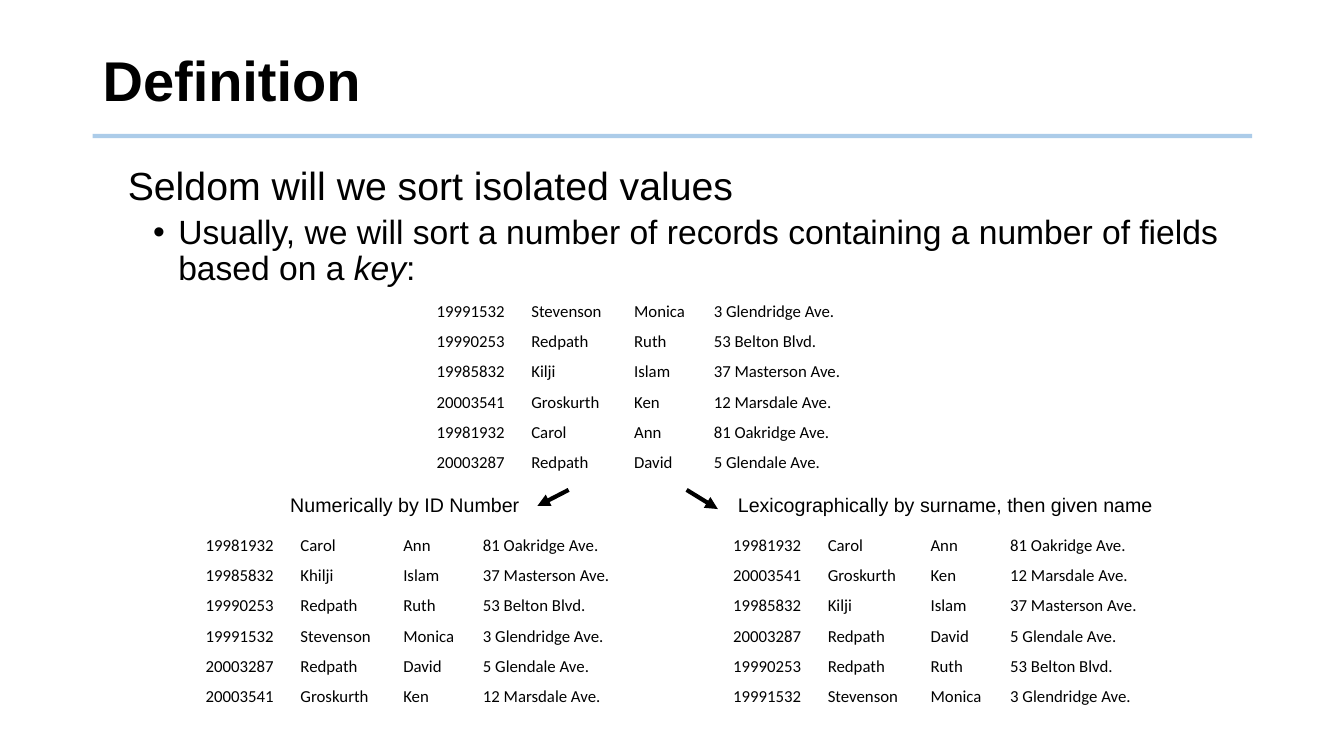
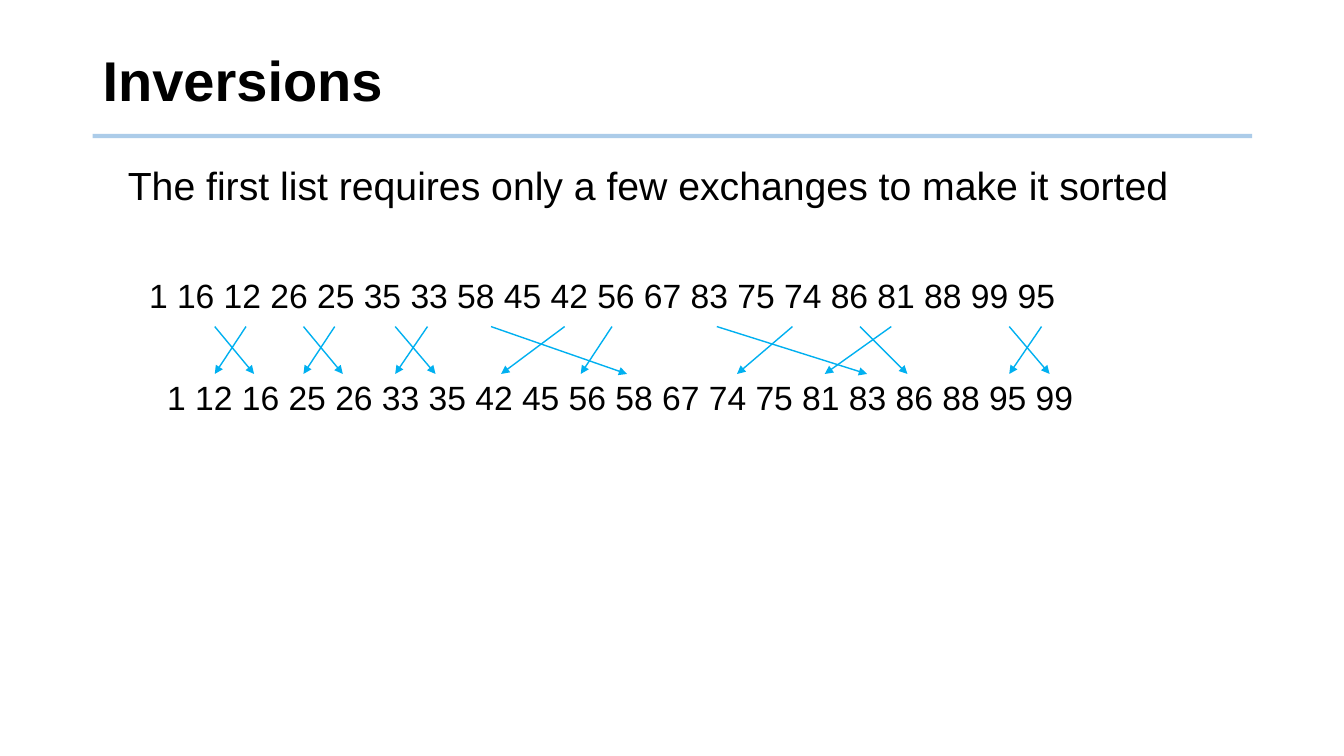
from lxml.etree import SubElement as Sub
from pptx import Presentation
from pptx.dml.color import RGBColor
from pptx.enum.shapes import MSO_CONNECTOR as Conn
from pptx.enum.text import MSO_ANCHOR as Anchor
from pptx.oxml.ns import qn
from pptx.util import Inches, Pt

BLACK, RULE, CYAN = "000000", "5B9BD5", "00B0F0"
LEFT, WIDTH = 0.92, 11.5


def rgb(value):
    return RGBColor.from_string(value)


class Deck:
    """Holds the shared style and the slide being built."""

    def __init__(self):
        self.prs = Presentation()
        self.prs.slide_width, self.prs.slide_height = Inches(13.33), Inches(7.5)
        self.s = None

    def slide(self, title):
        self.s = self.prs.slides.add_slide(self.prs.slide_layouts[6])
        ln = self.line((LEFT, 1.35), (LEFT + WIDTH, 1.35), RULE, 3)
        color = ln.find(qn("a:solidFill"))[0]
        Sub(color, qn("a:alpha"), val="50000")
        tf = self.box(LEFT, 0.28, WIDTH, 1.1)
        tf.vertical_anchor = Anchor.MIDDLE
        p = self.text(tf.paragraphs[0], [title], 40)
        p.font.bold = True
        p.line_spacing = 0.9

    def box(self, x, y, w, h, wrap=True):
        sp = self.s.shapes.add_textbox(Inches(x), Inches(y), Inches(w), Inches(h))
        sp.text_frame.word_wrap = wrap
        return sp.text_frame

    def text(self, p, parts, size, font="Arial", key=None):
        for part in parts:
            r = p.add_run()
            r.text = part
            if part == key:
                r.font.italic = True
        p.font.size, p.font.name = Pt(size), font
        p.font.color.rgb = rgb(BLACK)
        return p

    def label(self, x, y, w, h, words, size):
        self.text(self.box(x, y, w, h, wrap=False).paragraphs[0], [words], size)

    def body(self, lead, bullet=(), key=None):
        tf = self.box(LEFT, 1.6, WIDTH, 5.15)
        p = self.text(tf.paragraphs[0], [lead], 28)
        p.line_spacing, p.space_before = 0.9, Pt(10)
        p._p.get_or_add_pPr().set("marL", str(Inches(0.25)))
        if bullet:
            p = tf.add_paragraph()
            pPr = p._p.get_or_add_pPr()
            pPr.set("marL", str(Inches(0.75)))
            pPr.set("indent", str(Inches(-0.25)))
            Sub(pPr, qn("a:buFont"), typeface="Arial")
            Sub(pPr, qn("a:buChar"), char="•")
            self.text(p, bullet, 24, key=key)
            p.line_spacing, p.space_before = 0.9, Pt(5)

    def line(self, start, end, color, width):
        points = [Inches(v) for v in (*start, *end)]
        sp = self.s.shapes.add_connector(Conn.STRAIGHT, *points)
        sp.line.color.rgb = rgb(color)
        sp.line.width = Pt(width)
        spPr = sp._element.spPr
        Sub(spPr, qn("a:effectLst"))
        return spPr.find(qn("a:ln"))

    def arrow(self, start, end, color, width):
        Sub(self.line(start, end, color, width), qn("a:tailEnd"), type="triangle")

    def table(self, x, y, rows, widths=(0.94, 1.02, 0.79, 1.65), row_height=0.3):
        frame = self.s.shapes.add_table(
            len(rows), len(widths), Inches(x), Inches(y),
            Inches(sum(widths)), Inches(row_height * len(rows)))
        tbl = frame.table
        tbl.first_row = tbl.horz_banding = False
        for col, width in zip(tbl.columns, widths):
            col.width = Inches(width)
        for i, row in enumerate(rows):
            for j, value in enumerate(row):
                cell = tbl.cell(i, j)
                cell.fill.background()
                self.text(cell.text_frame.paragraphs[0], [value], 12, "Calibri")


def definition(deck):
    records = [
        ("19991532", "Stevenson", "Monica", "3 Glendridge Ave."),
        ("19990253", "Redpath", "Ruth", "53 Belton Blvd."),
        ("19985832", "Kilji", "Islam", "37 Masterson Ave."),
        ("20003541", "Groskurth", "Ken", "12 Marsdale Ave."),
        ("19981932", "Carol", "Ann", "81 Oakridge Ave."),
        ("20003287", "Redpath", "David", "5 Glendale Ave."),
    ]
    by_id = [[v.replace("Kilji", "Khilji") for v in row] for row in sorted(records)]
    by_name = sorted(records, key=lambda row: row[1:3])

    deck.slide("Definition")
    deck.body("Seldom will we sort isolated values",
              ["Usually, we will sort a number of records containing "
               "a number of fields based on a ", "key", ":"], key="key")
    deck.table(4.23, 2.94, records)
    deck.table(1.94, 5.26, by_id)
    deck.table(7.17, 5.26, by_name)
    deck.arrow((5.64, 4.86), (5.33, 5.02), BLACK, 3)
    deck.arrow((6.81, 4.86), (7.12, 5.05), BLACK, 3)
    deck.label(2.78, 4.84, 2.49, 0.34, "Numerically by ID Number", 14)
    deck.label(7.22, 4.84, 4.34, 0.34,
               "Lexicographically by surname, then given name", 14)


def inversions(deck):
    numbers = [1, 16, 12, 26, 25, 35, 33, 58, 45, 42,
               56, 67, 83, 75, 74, 86, 81, 88, 99, 95]
    moves = [
        (2.44, 2.13), (2.13, 2.52), (3.32, 3.01), (3.01, 3.4), (4.24, 3.92),
        (3.92, 4.32), (5.6, 4.97), (4.87, 6.22), (6.07, 5.76), (7.86, 7.31),
        (7.11, 8.6), (8.84, 8.18), (10.33, 10.01), (10.01, 10.41), (8.53, 9),
    ]
    deck.slide("Inversions")
    deck.body("The first list requires only a few exchanges to make it sorted")
    for x, y, row in ((1.38, 2.68, numbers), (1.56, 3.69, sorted(numbers))):
        deck.label(x, y, 9.2, 0.5, " ".join(map(str, row)), 24)
    for start, end in moves:
        deck.arrow((start, 3.24), (end, 3.71), CYAN, 1)


def main():
    deck = Deck()
    definition(deck)
    inversions(deck)
    deck.prs.save("out.pptx")


if __name__ == "__main__":
    main()
